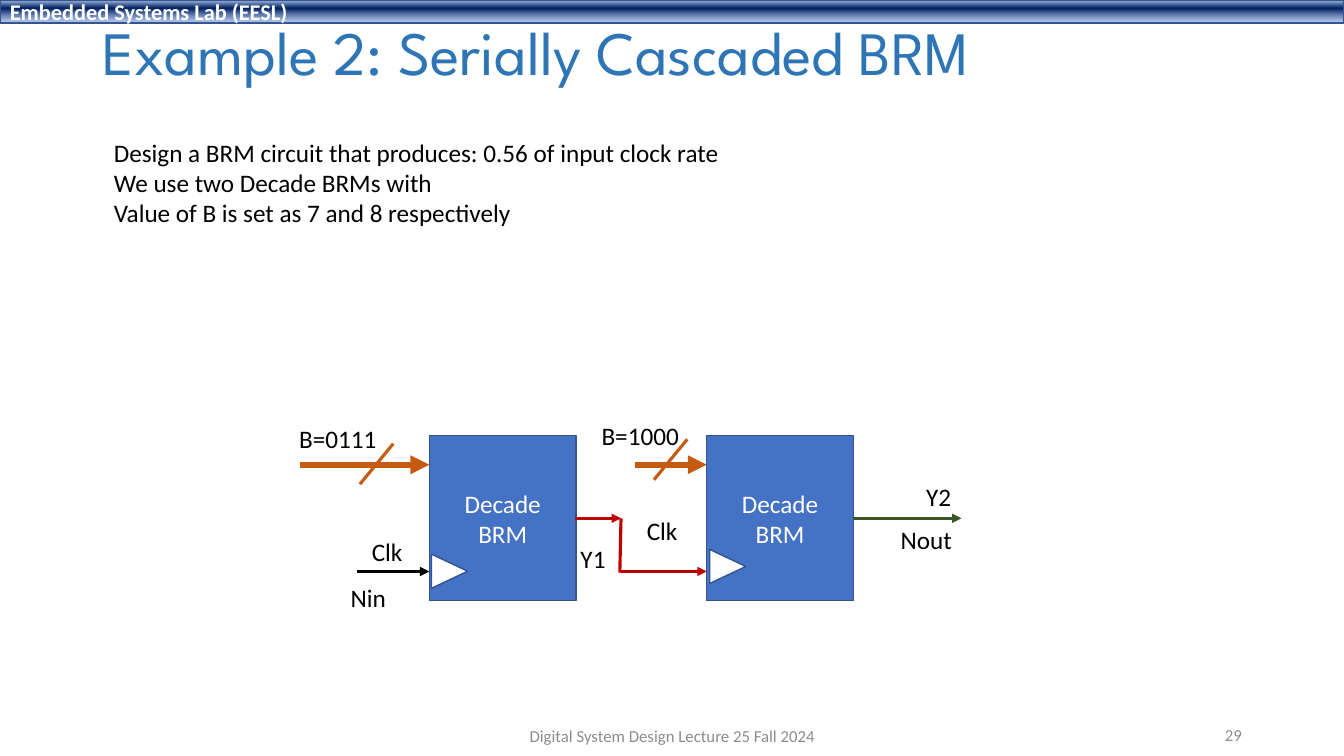
from copy import deepcopy

from lxml import etree
from pptx import Presentation
from pptx.dml.color import RGBColor
from pptx.enum.shapes import MSO_CONNECTOR, MSO_SHAPE
from pptx.enum.text import MSO_ANCHOR, PP_ALIGN
from pptx.oxml.ns import qn
from pptx.util import Cm, Pt

RECTANGLE = MSO_SHAPE.RECTANGLE
TRIANGLE = MSO_SHAPE.ISOSCELES_TRIANGLE
STRAIGHT = MSO_CONNECTOR.STRAIGHT
TOP, MIDDLE = MSO_ANCHOR.TOP, MSO_ANCHOR.MIDDLE
LEFT, CENTER, RIGHT = PP_ALIGN.LEFT, PP_ALIGN.CENTER, PP_ALIGN.RIGHT

COLORS = {
    "title": "2E75B6",
    "text": "000000",
    "muted": "8C8C8C",
    "white": "FFFFFF",
    "block": "4472C4",
    "outline": "325491",
    "bus": "C55A11",
    "cascade": "C00000",
    "output": "385723",
    "band_top": "ABC0E4",
    "band_dark": "002060",
    "band_bottom": "7E9ED6",
}


class SlideBuilder:
    body_font = "Calibri"
    title_font = "League Spartan"

    def __init__(self, page):
        self.page = page

    def color(self, name):
        return RGBColor.from_string(COLORS[name])

    def set_text(self, shape, lines, size=18, color="text", align=LEFT,
                 anchor=TOP, font=None, bold=False, spacing=1.0, wrap=True):
        frame = shape.text_frame
        frame.word_wrap = wrap
        frame.vertical_anchor = anchor
        frame.text = "\n".join(lines)
        for para in frame.paragraphs:
            para.alignment = align
            para.line_spacing = spacing
            para.font.name = font or self.body_font
            para.font.size = Pt(size)
            para.font.bold = bold
            para.font.color.rgb = self.color(color)

    def text(self, left, top, width, height, *lines, **style):
        box = self.page.shapes.add_textbox(
            Cm(left), Cm(top), Cm(width), Cm(height))
        self.set_text(box, lines, **style)

    def label(self, left, top, width, words):
        self.text(left, top, width, 1.02, words, wrap=False)

    def shape(self, kind, left, top, width, height, fill):
        shape = self.page.shapes.add_shape(
            kind, Cm(left), Cm(top), Cm(width), Cm(height))
        shape.shadow.inherit = False
        shape.fill.solid()
        shape.fill.fore_color.rgb = self.color(fill)
        shape.line.color.rgb = self.color("outline")
        shape.line.width = Pt(1)
        return shape

    def header(self, words):
        band = self.shape(RECTANGLE, 0, 0, 33.87, 0.58, "band_dark")
        band.fill.gradient()
        band.fill.gradient_angle = 270
        stop_list = band._element.spPr.find(".//" + qn("a:gsLst"))
        stop_list.append(deepcopy(stop_list[0]))
        stops = ((0.02, "band_top"), (0.38, "band_dark"), (0.93, "band_bottom"))
        for stop, (position, name) in zip(band.fill.gradient_stops, stops):
            stop.position = position
            stop.color.rgb = self.color(name)
        etree.SubElement(stop_list[-1][0], qn("a:alpha"), val="64000")
        self.set_text(band, [words], size=16, color="white",
                      anchor=MIDDLE, bold=True)

    def brm(self, left):
        block = self.shape(RECTANGLE, left, 10.97, 3.7, 4.17, "block")
        self.set_text(block, ["Decade", "BRM"], color="white",
                      align=CENTER, anchor=MIDDLE)

    def clock_input(self, left, top):
        self.shape(TRIANGLE, left, top, 0.86, 0.91, "white").rotation = 90

    def line(self, x1, y1, x2, y2, color, width=2.25, arrow=False):
        wire = self.page.shapes.add_connector(
            STRAIGHT, Cm(x1), Cm(y1), Cm(x2), Cm(y2))
        wire.line.color.rgb = self.color(color)
        wire.line.width = Pt(width)
        properties = wire._element.spPr
        if arrow:
            etree.SubElement(properties.find(qn("a:ln")),
                             qn("a:tailEnd"), type="triangle")
        etree.SubElement(properties, qn("a:effectLst"))

    def arrow(self, start, end, y, color, width=2.25):
        self.line(start, y, end, y, color, width, arrow=True)


def main():
    deck = Presentation()
    deck.slide_width, deck.slide_height = Cm(33.87), Cm(19.05)
    slide = SlideBuilder(deck.slides.add_slide(deck.slide_layouts[6]))

    slide.header("Embedded Systems Lab (EESL)")
    slide.text(2.33, 0.25, 29.21, 2.32, "Example 2: Serially Cascaded BRM",
               size=44, color="title", font=slide.title_font,
               anchor=MIDDLE, spacing=0.9)
    slide.text(2.62, 3.33, 17.04, 2.57,
               "Design a BRM circuit that produces: 0.56 of input clock rate",
               "We use two Decade BRMs with",
               "Value of B is set as 7 and 8 respectively")

    first, second = 10.82, 17.81
    bus_y, output_y, clock_y = 11.71, 13.06, 14.4
    corner = 15.65

    for block, bus_start, slash_x, slash_y in (
            (first, 7.57, 9.07, 11.18), (second, 16, 16.48, 11.07)):
        slide.brm(block)
        slide.arrow(bus_start, block, bus_y, "bus", 4.5)
        slide.line(slash_x + 0.84, slash_y, slash_x, slash_y + 1.02, "bus")

    slide.arrow(8.99, first, clock_y, "text")
    slide.arrow(14.5, corner, output_y, "cascade")
    slide.line(corner, output_y, 15.62, 14.43, "cascade")
    slide.arrow(corner, second, clock_y, "cascade")
    slide.arrow(21.49, 24.23, output_y, "output")
    slide.clock_input(10.9, 13.94)
    slide.clock_input(17.91, 13.82)

    for left, top, width, words in (
            (7.29, 10.54, 2.49, "B=0111"),
            (14.91, 10.46, 2.49, "B=1000"),
            (14.38, 13.56, 1.14, "Y1"),
            (23.09, 12.01, 1.14, "Y2"),
            (9.12, 13.39, 1.3, "Clk"),
            (16.05, 12.85, 1.3, "Clk"),
            (8.59, 14.55, 1.42, "Nin"),
            (22.45, 13.08, 1.83, "Nout")):
        slide.label(left, top, width, words)

    footer = {"size": 12, "color": "muted", "anchor": MIDDLE}
    slide.text(11.23, 18.03, 11.43, 1.02,
               "Digital System Design Lecture 25 Fall 2024",
               align=CENTER, **footer)
    slide.text(23.93, 18.01, 7.62, 1.02, "29", align=RIGHT, **footer)

    deck.save("out.pptx")


if __name__ == "__main__":
    main()
